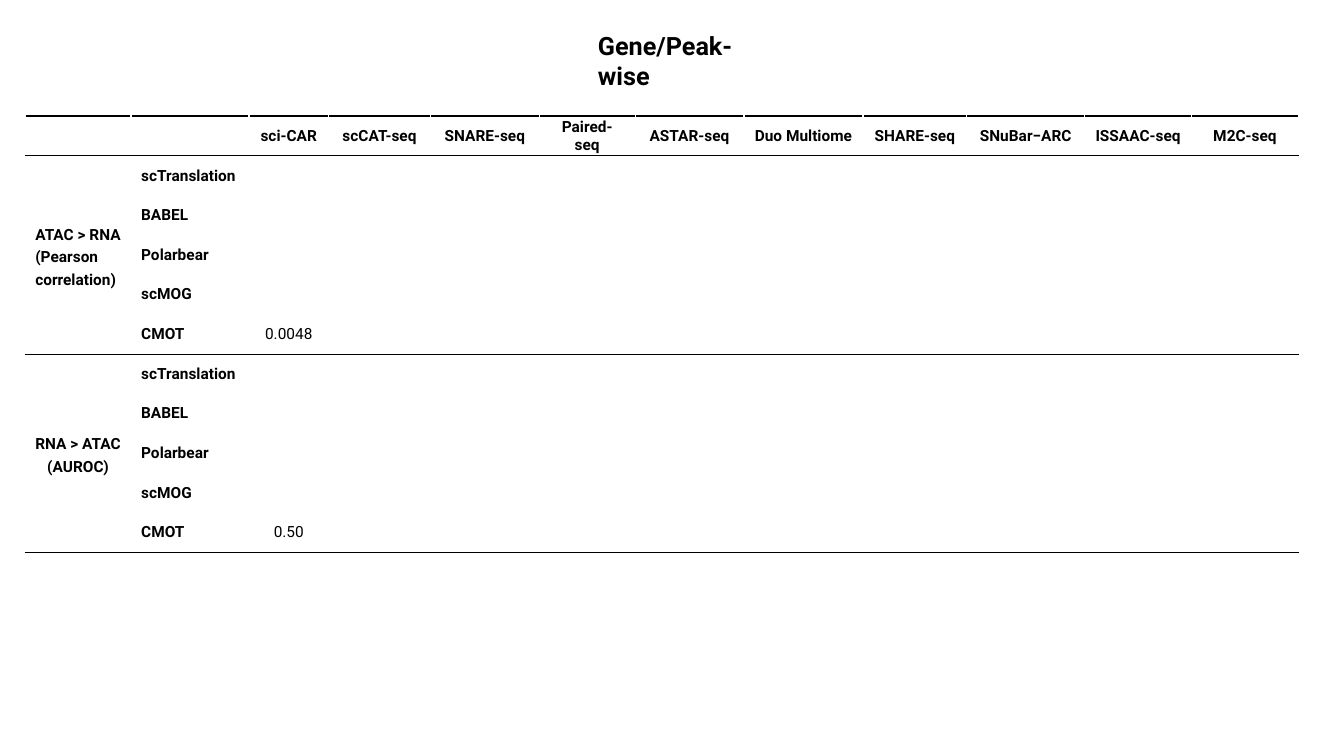
"""Build the gene and peak benchmark table slide."""
import dataclasses

import lxml.etree
import pptx
import pptx.dml.color
import pptx.enum.text
import pptx.oxml.ns
import pptx.util

SLIDE_WIDTH, SLIDE_HEIGHT = 13.33, 7.5
TABLE_LEFT, TABLE_TOP, ROW_HEIGHT = 0.25, 1.15, 0.3936
COLUMN_WIDTHS = [1.05, 1.17, 0.79, 1.01, 1.08, 0.95, 1.08, 1.18, 1.03, 1.17, 1.06, 1.06]
PROTOCOLS = ["sci-CAR", "scCAT-seq", "SNARE-seq", "Paired-seq", "ASTAR-seq", "Duo Multiome",
             "SHARE-seq", "SNuBar−ARC", "ISSAAC-seq", "M2C-seq"]
METHODS = ["scTranslation", "BABEL", "Polarbear", "scMOG", "CMOT"]

LEFT = pptx.enum.text.PP_ALIGN.LEFT
CENTER = pptx.enum.text.PP_ALIGN.CENTER
MIDDLE = pptx.enum.text.MSO_ANCHOR.MIDDLE


@dataclasses.dataclass(frozen=True)
class Theme:
    """Hold the type, colours and rule weight of the slide."""
    font: str = "Roboto"
    ink: str = "000000"
    paper: str = "FFFFFF"
    title_size: int = 18
    cell_size: int = 11
    rule_weight: int = 1


@dataclasses.dataclass(frozen=True)
class Task:
    """Hold one translation direction, its metric and the score of the last method."""
    direction: str
    metric: str
    metric_align: int
    score: str


THEME = Theme()
TASKS = [
    Task("ATAC > RNA", "(Pearson correlation)", LEFT, "0.0048"),
    Task("RNA > ATAC", "(AUROC)", CENTER, "0.50"),
]


def style_text(para, size, bold=True, align=LEFT):
    """Format every run of a paragraph."""
    para.alignment = align
    for span in para.runs:
        span.font.name = THEME.font
        span.font.size = pptx.util.Pt(size)
        span.font.bold = bold
        span.font.color.rgb = pptx.dml.color.RGBColor.from_string(THEME.ink)


def add_title(page, text):
    """Place the slide title above the table."""
    box = page.shapes.title
    box.left, box.top = pptx.util.Inches(5.83), pptx.util.Inches(0.25)
    box.width, box.height = pptx.util.Inches(2.03), pptx.util.Inches(0.7)
    frame = box.text_frame
    frame.text = text
    frame.word_wrap = True
    frame.auto_size = pptx.enum.text.MSO_AUTO_SIZE.NONE
    frame.vertical_anchor = pptx.enum.text.MSO_ANCHOR.TOP
    style_text(frame.paragraphs[0], THEME.title_size)


def add_rule(cell, side):
    """Draw a border on the top (lnT) or bottom (lnB) of a cell."""
    properties = cell._tc.get_or_add_tcPr()
    line = lxml.etree.SubElement(properties, pptx.oxml.ns.qn(f"a:{side}"),
                                 w=str(pptx.util.Pt(THEME.rule_weight)))
    fill = lxml.etree.SubElement(line, pptx.oxml.ns.qn("a:solidFill"))
    lxml.etree.SubElement(fill, pptx.oxml.ns.qn("a:srgbClr"), val=THEME.ink)


def write_cell(cell, text, align=LEFT, bold=True):
    """Fill a cell with one formatted line."""
    cell.text = text
    style_text(cell.text_frame.paragraphs[0], THEME.cell_size, bold, align)


def format_cells(table, ruled_above, ruled_below):
    """Give all cells the same margins and fill, and rule the chosen rows."""
    for row_index, row in enumerate(table.rows):
        for cell in row.cells:
            cell.margin_top = cell.margin_bottom = pptx.util.Inches(0.02)
            cell.vertical_anchor = MIDDLE
            if row_index in ruled_above:
                add_rule(cell, "lnT")
            if row_index in ruled_below or cell.is_merge_origin:
                add_rule(cell, "lnB")
            cell.fill.solid()
            cell.fill.fore_color.rgb = pptx.dml.color.RGBColor.from_string(THEME.paper)


def write_task(table, first_row, task):
    """Write the merged task label, its methods and the score."""
    last_row = first_row + len(METHODS) - 1
    label = table.cell(first_row, 0)
    label.merge(table.cell(last_row, 0))
    label.text = f"{task.direction}\n{task.metric}"
    for para, align in zip(label.text_frame.paragraphs, (LEFT, task.metric_align)):
        style_text(para, THEME.cell_size, align=align)
        para.line_spacing = 1.25
    for offset, method in enumerate(METHODS):
        write_cell(table.cell(first_row + offset, 1), method)
    write_cell(table.cell(last_row, 2), task.score, CENTER, bold=False)


def add_benchmark(page):
    """Add the table of methods by protocol."""
    row_count = 1 + len(TASKS) * len(METHODS)
    table = page.shapes.add_table(
        row_count, len(COLUMN_WIDTHS),
        pptx.util.Inches(TABLE_LEFT), pptx.util.Inches(TABLE_TOP),
        pptx.util.Inches(sum(COLUMN_WIDTHS)), pptx.util.Inches(row_count * ROW_HEIGHT)).table
    table.first_row = table.horz_banding = False
    for column, width in zip(table.columns, COLUMN_WIDTHS):
        column.width = pptx.util.Inches(width)
    for index, protocol in enumerate(PROTOCOLS, start=2):
        write_cell(table.cell(0, index), protocol, CENTER)
    task_rows = [1 + index * len(METHODS) for index in range(len(TASKS))]
    for first_row, task in zip(task_rows, TASKS):
        write_task(table, first_row, task)
    format_cells(table, ruled_above=[0, *task_rows],
                 ruled_below=[row - 1 for row in [*task_rows, row_count]])


def main():
    """Build and save the deck."""
    deck = pptx.Presentation()
    deck.slide_width = pptx.util.Inches(SLIDE_WIDTH)
    deck.slide_height = pptx.util.Inches(SLIDE_HEIGHT)
    page = deck.slides.add_slide(deck.slide_layouts.get_by_name("Title Only"))
    add_title(page, "Gene/Peak-wise")
    add_benchmark(page)
    deck.save("out.pptx")


if __name__ == "__main__":
    main()
